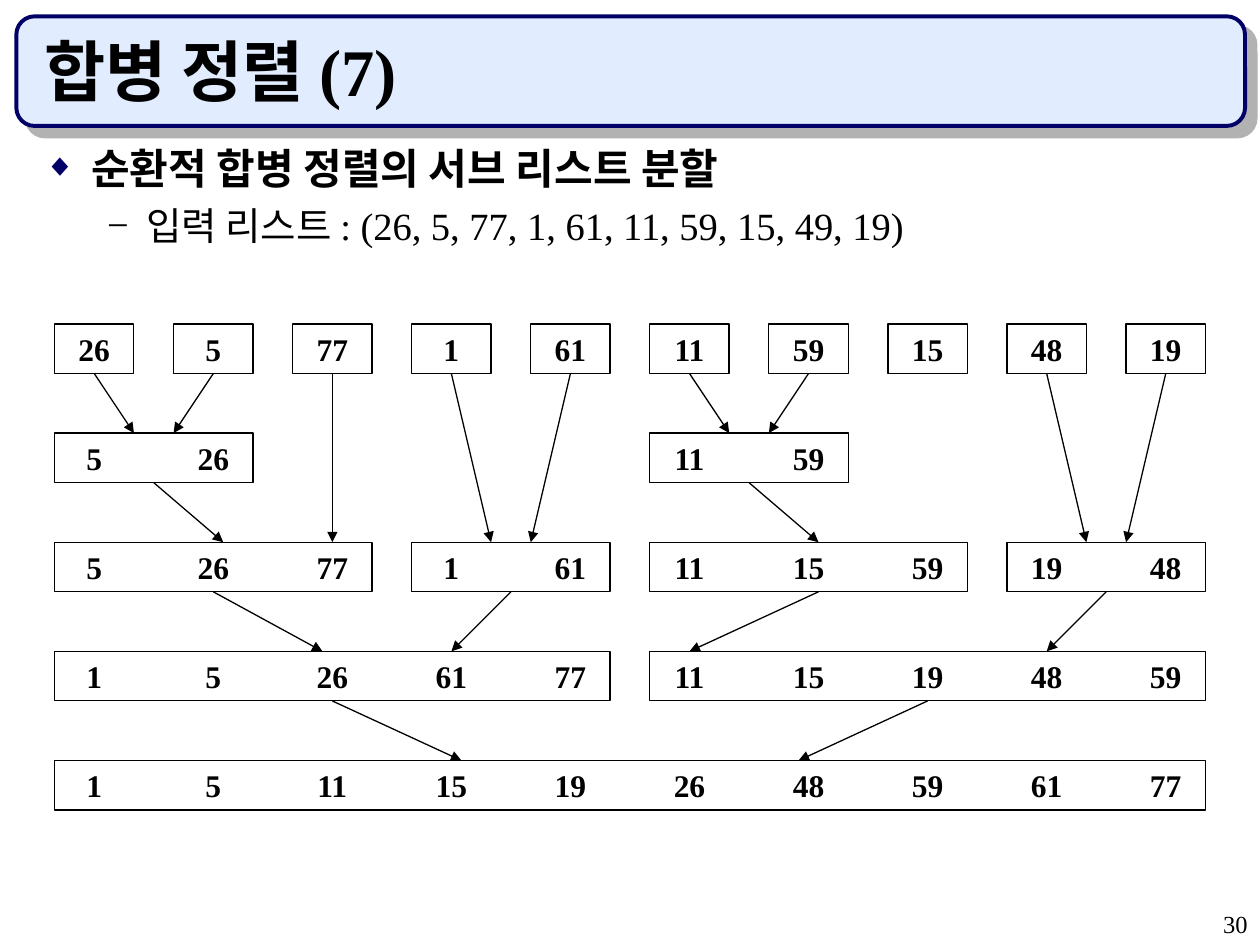
from lxml.etree import SubElement
from pptx import Presentation
from pptx.dml.color import RGBColor
from pptx.enum.shapes import MSO_CONNECTOR as Connector, MSO_SHAPE as Shape
from pptx.enum.text import MSO_ANCHOR as Anchor, PP_ALIGN as Align
from pptx.oxml.ns import qn
from pptx.util import Cm, Pt

COLORS = {"ink": "000000", "navy": "000066", "bar": "E1ECFF", "shadow": "B2B2B2"}

LEFT, TOP = 1.1, 6.53
COLUMN_STEP, ROW_STEP = 2.4, 2.2
CELL_WIDTH, CELL_HEIGHT = 1.6, 1.0

INPUT = [26, 5, 77, 1, 61, 11, 59, 15, 48, 19]
# (row, first column): sorted numbers
MERGED = {
    (1, 0): [5, 26],
    (1, 5): [11, 59],
    (2, 0): [5, 26, 77],
    (2, 3): [1, 61],
    (2, 5): [11, 15, 59],
    (2, 8): [19, 48],
    (3, 0): [1, 5, 26, 61, 77],
    (3, 5): [11, 15, 19, 48, 59],
    (4, 0): [1, 5, 11, 15, 19, 26, 48, 59, 61, 77],
}
# Pairs of neighbouring inputs: (left column, row of the merged list)
INPUT_PAIRS = [(0, 1), (5, 1), (3, 2), (8, 2)]
# Source list, row reached, x where the arrow lands
MERGES = [
    ((0, 2), 2, 6.7),
    ((1, 0), 2, 4.5),
    ((1, 5), 2, 16.5),
    ((2, 0), 3, 6.5),
    ((2, 3), 3, 9.1),
    ((2, 8), 3, 21.1),
    ((3, 0), 4, 9.3),
    ((3, 5), 4, 16.1),
]


def column_x(column):
    return LEFT + column * COLUMN_STEP


def row_y(row):
    return TOP + row * ROW_STEP


class SlideBuilder:
    """Holds the common style and the slide being filled."""

    font = "Times New Roman"
    line_width = Pt(0.75)

    def __init__(self, slide):
        self.slide = slide

    def color(self, name):
        return RGBColor.from_string(COLORS[name])

    def add_span(self, para, text, size, bold=False, before=0):
        para.space_before = Pt(before)
        span = para.add_run()
        span.text = text
        span.font.name = self.font
        span.font.size = Pt(size)
        span.font.bold = bold
        span.font.color.rgb = self.color("ink")

    def text_box(self, left, top, width, height, anchor=Anchor.TOP):
        frame = self.slide.shapes.add_textbox(
            Cm(left), Cm(top), Cm(width), Cm(height)).text_frame
        frame.word_wrap = True
        frame.vertical_anchor = anchor
        return frame

    def bullet(self, para, char, color, margin, hanging, percent=100):
        props = para._p.get_or_add_pPr()
        props.set("marL", str(Cm(margin)))
        props.set("indent", str(-Cm(hanging)))
        SubElement(SubElement(props, qn("a:buClr")), qn("a:srgbClr"), val=COLORS[color])
        SubElement(props, qn("a:buSzPct"), val=str(percent * 1000))
        SubElement(props, qn("a:buFont"), typeface=self.font)
        SubElement(props, qn("a:buChar"), char=char)

    def title_bar(self, left, top, width, height):
        bar = self.slide.shapes.add_shape(
            Shape.ROUNDED_RECTANGLE, Cm(left), Cm(top), Cm(width), Cm(height))
        bar.fill.solid()
        bar.fill.fore_color.rgb = self.color("bar")
        bar.line.color.rgb = self.color("navy")
        bar.line.width = Pt(2.25)
        effects = SubElement(bar._element.spPr, qn("a:effectLst"))
        shadow = SubElement(effects, qn("a:outerShdw"), dist=str(Pt(8.5)),
                            dir=str(45 * 60000), algn="ctr", rotWithShape="0")
        SubElement(shadow, qn("a:srgbClr"), val=COLORS["shadow"])

    def number_list(self, row, column, numbers):
        """Draw a box with each number centred on its grid column."""
        width = CELL_WIDTH + (len(numbers) - 1) * COLUMN_STEP
        box = self.slide.shapes.add_shape(
            Shape.RECTANGLE, Cm(column_x(column)), Cm(row_y(row)),
            Cm(width), Cm(CELL_HEIGHT))
        box.shadow.inherit = False
        box.fill.background()
        box.line.color.rgb = self.color("ink")
        box.line.width = self.line_width
        frame = box.text_frame
        frame.word_wrap = True
        frame.vertical_anchor = Anchor.MIDDLE
        frame.margin_left = frame.margin_right = 0
        frame.margin_top = frame.margin_bottom = 0
        para = frame.paragraphs[0]
        if len(numbers) == 1:
            para.alignment = Align.CENTER
            self.add_span(para, str(numbers[0]), 18, True, 4.5)
            return box
        para.alignment = Align.LEFT
        for number in numbers:
            self.add_span(para, f"\t{number}", 18, True, 4.5)
        tabs = SubElement(para._p.get_or_add_pPr(), qn("a:tabLst"))
        for index in range(len(numbers)):
            stop = Cm(CELL_WIDTH / 2 + index * COLUMN_STEP)
            SubElement(tabs, qn("a:tab"), pos=str(stop), algn="ctr")
        return box

    def arrow(self, start, end, source=None):
        """Draw an arrow, joined to the bottom of source if one is given."""
        link = self.slide.shapes.add_connector(
            Connector.STRAIGHT, *[Cm(value) for value in (*start, *end)])
        if source is not None:
            link.begin_connect(source, 2)
        link.line.color.rgb = self.color("ink")
        link.line.width = self.line_width
        SubElement(link.line._get_or_add_ln(), qn("a:tailEnd"), type="triangle")
        SubElement(link._element.spPr, qn("a:effectLst"))


def add_heading(builder):
    builder.title_bar(0.33, 0.33, 24.77, 2.21)
    title = builder.text_box(0.64, 0.64, 23.93, 1.7, Anchor.BOTTOM)
    builder.add_span(title.paragraphs[0], "합병 정렬 (7)", 38, True)

    body = builder.text_box(0.64, 2.74, 24.08, 4.78)
    topic = body.paragraphs[0]
    builder.add_span(topic, "순환적 합병 정렬의 서브 리스트 분할", 24, True, 6)
    builder.bullet(topic, "◆", "navy", 0.95, 0.95, 75)
    detail = body.add_paragraph()
    detail.level = 1
    builder.add_span(detail, "입력 리스트 : (26, 5, 77, 1, 61, 11, 59, 15, 49, 19)", 22, before=5.5)
    builder.bullet(detail, "−", "ink", 2.06, 0.79)


def add_merge_tree(builder):
    lists = {(0, column): [number] for column, number in enumerate(INPUT)} | MERGED
    boxes = {place: builder.number_list(*place, numbers)
             for place, numbers in lists.items()}

    arrows = list(MERGES)
    for column, row in INPUT_PAIRS:
        arrows.append(((0, column), row, column_x(column) + CELL_WIDTH))
        arrows.append(((0, column + 1), row, column_x(column + 1)))
    for place, row, x in arrows:
        start = (column_x(place[1]), row_y(place[0]) + CELL_HEIGHT)
        builder.arrow(start, (x, row_y(row)), boxes[place])
    # This arrow leaves a little right of the middle of its list
    builder.arrow((16.5, row_y(2) + CELL_HEIGHT), (13.9, row_y(3)))


def add_page_number(builder):
    para = builder.text_box(20.12, 18.21, 5.28, 0.84).paragraphs[0]
    para.alignment = Align.RIGHT
    builder.add_span(para, "30", 14, before=8.8)


def main():
    deck = Presentation()
    deck.slide_width, deck.slide_height = Cm(25.4), Cm(19.05)
    builder = SlideBuilder(deck.slides.add_slide(deck.slide_layouts[6]))
    add_heading(builder)
    add_merge_tree(builder)
    add_page_number(builder)
    deck.save("out.pptx")


if __name__ == "__main__":
    main()
